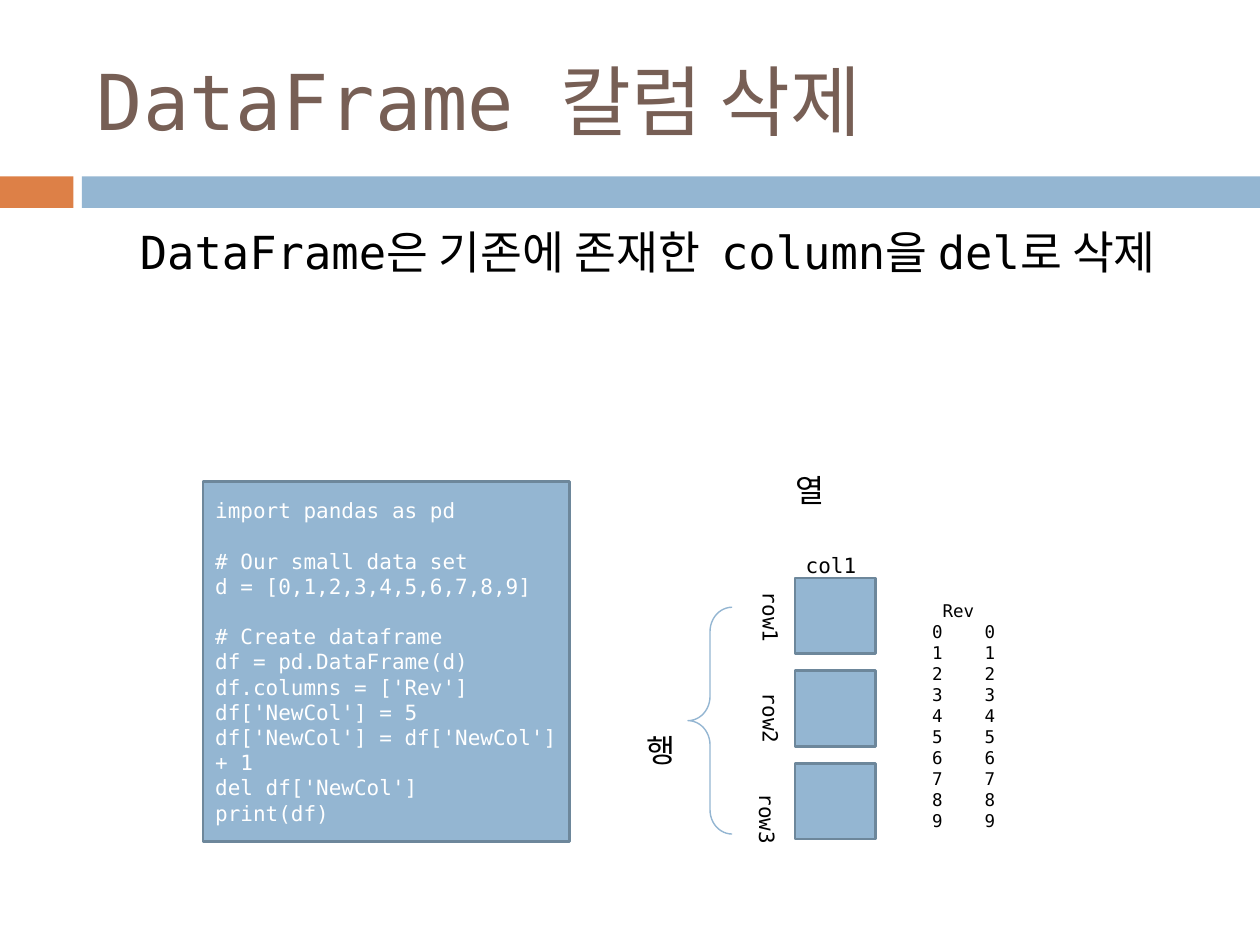
"""Builds a slide on deleting a DataFrame column, with code, a row and column diagram and output."""
from lxml import etree
from pptx import Presentation
from pptx.dml.color import RGBColor
from pptx.enum.shapes import MSO_SHAPE
from pptx.enum.text import MSO_ANCHOR, MSO_AUTO_SIZE, PP_ALIGN
from pptx.oxml.ns import qn
from pptx.util import Pt

RECTANGLE, BRACE = MSO_SHAPE.RECTANGLE, MSO_SHAPE.RIGHT_BRACE
TOP, MIDDLE = MSO_ANCHOR.TOP, MSO_ANCHOR.MIDDLE
LEFT, CENTER = PP_ALIGN.LEFT, PP_ALIGN.CENTER
NO_FIT, GROW = MSO_AUTO_SIZE.NONE, MSO_AUTO_SIZE.SHAPE_TO_FIT_TEXT

FONT = "DejaVu Sans Mono"
BLUE = RGBColor(0x94, 0xB6, 0xD2)
BLUE_EDGE = RGBColor(0x6D, 0x87, 0x9B)
ORANGE = RGBColor(0xDD, 0x80, 0x47)
BROWN = RGBColor(0x77, 0x5F, 0x55)
BLACK = RGBColor(0, 0, 0)
WHITE = RGBColor(0xFF, 0xFF, 0xFF)

CODE_BLOCKS = [
    ["import pandas as pd"],
    ["# Our small data set", "d = [0,1,2,3,4,5,6,7,8,9]"],
    ["# Create dataframe", "df = pd.DataFrame(d)", "df.columns = ['Rev']",
     "df['NewCol'] = 5", "df['NewCol'] = df['NewCol'] + 1",
     "del df['NewCol']", "print(df)"],
]


def write(shape, lines, size, color, align=LEFT, anchor=TOP, fit=NO_FIT, wrap=True):
    frame = shape.text_frame
    frame.text = "\n".join(lines)
    frame_format = {"word_wrap": wrap, "auto_size": fit, "vertical_anchor": anchor}
    for name, value in frame_format.items():
        setattr(frame, name, value)
    for paragraph in frame.paragraphs:
        paragraph.alignment = align
        for run in paragraph.runs:
            run.font.name, run.font.size = FONT, Pt(size)
            run.font.color.rgb = color
    return frame


def add_box(left, top, width, height, fill, edge=None):
    shape = slide.shapes.add_shape(RECTANGLE, Pt(left), Pt(top), Pt(width), Pt(height))
    shape.shadow.inherit = False
    shape.fill.solid()
    shape.fill.fore_color.rgb = fill
    if edge is None:
        shape.line.fill.background()
    else:
        shape.line.color.rgb, shape.line.width = edge, Pt(1.5)
    return shape


presentation = Presentation()
presentation.slide_width, presentation.slide_height = Pt(720), Pt(540)
slide = presentation.slides.add_slide(presentation.slide_layouts[5])

add_box(0, 100.8, 42, 18, ORANGE)
add_box(46.8, 100.8, 673.2, 18, BLUE)

title = slide.shapes.title
title_place = {"left": 48.2, "top": 18, "width": 642.2, "height": 77.8}
for name, value in title_place.items():
    setattr(title, name, Pt(value))
write(title, ["DataFrame 칼럼 삭제"], 44, BROWN, anchor=MIDDLE)

body = slide.shapes.add_textbox(Pt(36.7), Pt(124.6), Pt(648), Pt(72))
body_frame = write(body, ["DataFrame은 기존에 존재한  column을 del로 삭제"], 26, BLACK)
body_frame.paragraphs[0].space_before = Pt(5.5)
body_frame.margin_left = Pt(43.2)

code_box = add_box(115.9, 275, 209.5, 206, BLUE, BLUE_EDGE)
code_lines = [line for block in CODE_BLOCKS for line in block]
code_frame = write(code_box, code_lines, 12, WHITE, anchor=MIDDLE)
for paragraph in code_frame.paragraphs:
    if paragraph.text in [block[0] for block in CODE_BLOCKS[1:]]:
        paragraph.space_before = Pt(14.4)

output = slide.shapes.add_textbox(Pt(525.6), Pt(339.1), Pt(102.2), Pt(140.4))
output_lines = ["Rev"] + [f"{number}\t{number}" for number in range(10)]
output_frame = write(output, output_lines, 10, BLACK, fit=GROW)
heading, *rows = output_frame.paragraphs
heading_properties = heading._p.get_or_add_pPr()
heading_properties.set("marL", str(Pt(6)))
heading_properties.set("indent", "0")
for paragraph in rows:
    tab_list = etree.SubElement(paragraph._p.get_or_add_pPr(), qn("a:tabLst"))
    etree.SubElement(tab_list, qn("a:tab"), pos=str(Pt(30)), algn="l")

for row in range(3):
    add_box(454.3, 330.4 + 52.9 * row, 46.1, 43.2, BLUE, BLUE_EDGE)

labels = [
    ("행", 362.2, 414, 41, 24.5, 18, LEFT),
    ("열", 447.8, 265.7, 41, 28.8, 18, LEFT),
    ("col1", 449.3, 312.5, 51.1, 18.7, 12, CENTER),
]
for text, left, top, width, height, size, align in labels:
    label = slide.shapes.add_textbox(Pt(left), Pt(top), Pt(width), Pt(height))
    write(label, [text], size, BLACK, align, fit=GROW)

brace = slide.shapes.add_shape(BRACE, Pt(393.1), Pt(347), Pt(25.2), Pt(129.6))
brace.rotation = 180
brace.adjustments[0], brace.adjustments[1] = 0.55, 0.5
brace.shadow.inherit = False
brace.fill.background()
brace.line.color.rgb, brace.line.width = BLUE, Pt(0.79)

for row, left in enumerate([425.5, 425.5, 423.4]):
    row_label = slide.shapes.add_textbox(Pt(left), Pt(331.2 + 57.6 * row), Pt(25.9), Pt(31))
    row_frame = write(row_label, [f"row{row + 1}"], 12, BLACK, fit=GROW, wrap=False)
    row_frame._txBody.bodyPr.set("vert", "eaVert")

presentation.save("out.pptx")
